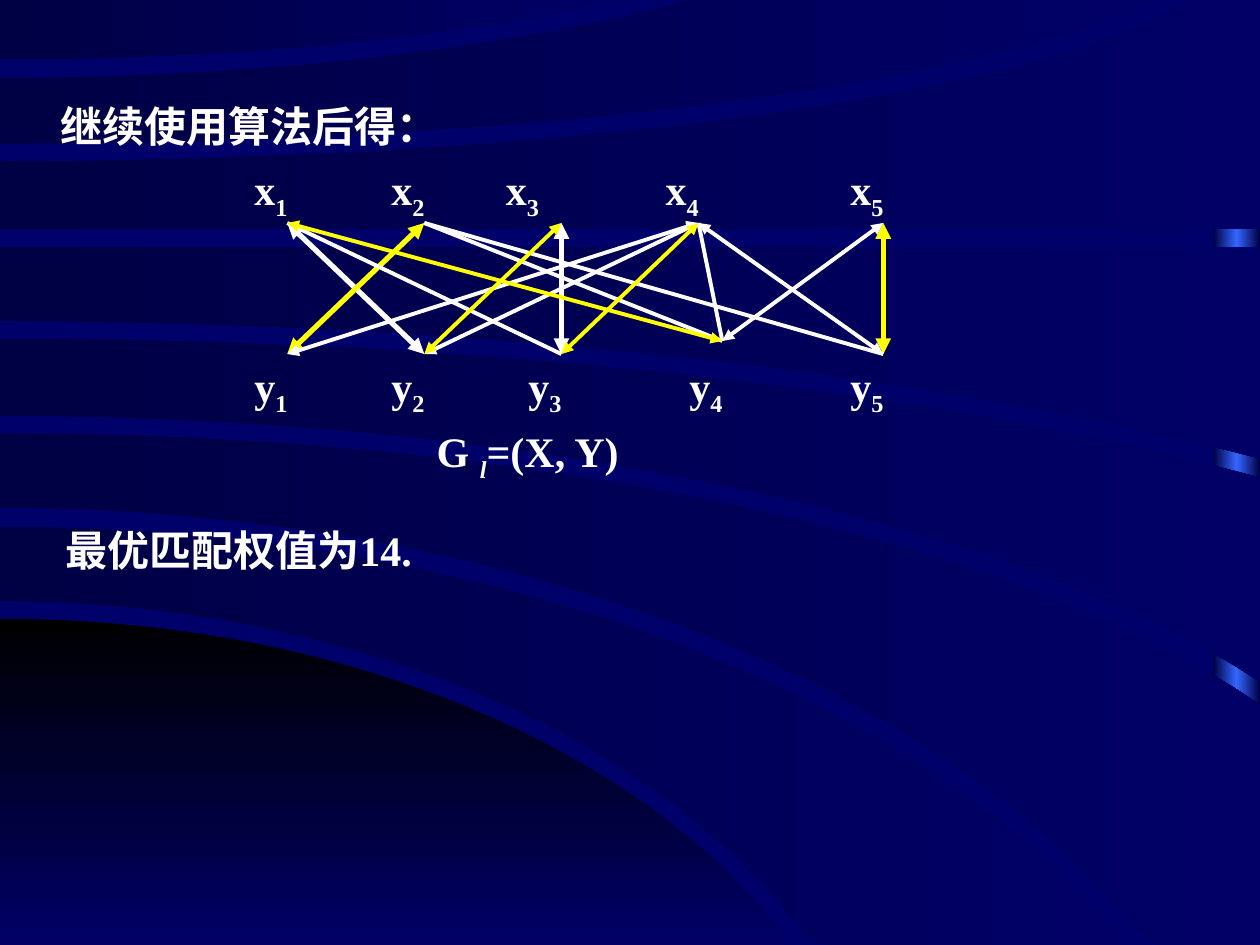
from copy import deepcopy
from math import sqrt

from pptx import Presentation
from pptx.dml.color import RGBColor
from pptx.enum.shapes import MSO_CONNECTOR as Connector, MSO_SHAPE as Shape
from pptx.enum.text import MSO_ANCHOR as Anchor
from pptx.oxml.ns import qn
from pptx.util import Inches, Pt
from lxml.etree import SubElement

WIDTH, HEIGHT = 10, 7.5
WHITE, YELLOW = "FFFFFF", "FFFF00"
NIGHT, NAVY, BLUE, BLACK = "000044", "000066", "3366FF", "000000"

# An arc is (height at the left side, horizontal radius, vertical radius);
# a negative vertical radius bends it upwards, zero makes it flat.
# A band is (upper arc, lower arc, right end).
PLANET = ((4.91, 7, 4.64), (HEIGHT, WIDTH, 0), 6.28)
BANDS = [
    ((4.18, 10, 5.96), (4.77, 7.15, 4.8), 8.93),
    ((3.44, 11.2, 3.92), (4.03, 10, 5.88), WIDTH),
    ((2.69, 14, 3.67), (3.3, 11.3, 3.95), WIDTH),
    ((1.96, WIDTH, 0), (2.55, 14, 3.63), WIDTH),
    ((1.28, 9.7, -1.68), (1.82, WIDTH, 0), WIDTH),
    ((0.62, 8, -2.26), (1.14, 9.7, -1.71), 9.17),
    ((0, WIDTH, 0), (0.47, 7, -1.63), 5.01),
]
STEPS = 50

# Vertex columns and rows, as shares of the graph's box
GRAPH_BOX = (2.28, 1.77, 4.73, 1.04)
X_COLUMNS = [0, 0.23, 0.46, 0.69, 1]
Y_COLUMNS = [0, 0.23, 0.46, 0.73, 1]
SHORT_ROW = 0.9

# Edges by style (colour, width, arrowheads), each as x number and y number
EDGES = {
    (WHITE, 3, True): "33 12",
    (YELLOW, 3, True): "55 21",
    (WHITE, 2.25, False): "13 24 25 44",
    (WHITE, 2.25, True): "54 42 41 45",
    (YELLOW, 2.25, True): "32 43 14",
}


def colour(code):
    return RGBColor.from_string(code)


def paint(shape, codes, angle=0):
    """Fill a shape with an evenly spaced gradient and no outline."""
    shape.shadow.inherit = False
    shape.line.fill.background()
    shape.fill.gradient()
    shape.fill.gradient_angle = angle
    stop_list = shape._element.spPr.find(qn("a:gradFill")).find(qn("a:gsLst"))
    while len(stop_list) < len(codes):
        stop_list.append(deepcopy(stop_list[0]))
    for index, (stop, code) in enumerate(zip(shape.fill.gradient_stops, codes)):
        stop.color.rgb = colour(code)
        stop.position = index / (len(codes) - 1)


def arc_points(arc, end):
    """Points along an elliptic arc, kept inside the slide."""
    start, across, down = arc
    points = []
    for step in range(STEPS + 1):
        x = end * step / STEPS
        y = start + down * (1 - sqrt(max(0, 1 - (x / across) ** 2)))
        points.append((Inches(x), Inches(min(max(y, 0), HEIGHT))))
    return points


def add_band(page, upper, lower, end):
    first, *rest = arc_points(upper, end) + arc_points(lower, end)[::-1]
    builder = page.shapes.build_freeform(*first)
    builder.add_line_segments(rest, close=True)
    return builder.convert_to_shape()


def add_text(page, box, spans, anchor=Anchor.TOP):
    """Write one line; spans whose style has "sub" or "italic" get it."""
    frame = page.shapes.add_textbox(*map(Inches, box)).text_frame
    frame.word_wrap = True
    frame.vertical_anchor = anchor
    para = frame.paragraphs[0]
    para.font.name, para.font.size, para.font.bold = "Times New Roman", Pt(24), True
    para.font.color.rgb = colour(WHITE)
    for text, style in spans:
        span = para.add_run()
        span.text = text
        if "italic" in style:
            span.font.italic = True
        if "sub" in style:
            span._r.get_or_add_rPr().set("baseline", "-25000")


def add_edge(page, start, end, code, width, arrows):
    ends = map(Inches, (*start, *end))
    edge = page.shapes.add_connector(Connector.STRAIGHT, *ends)
    edge.line.color.rgb = colour(code)
    edge.line.width = Pt(width)
    SubElement(edge._element.spPr, qn("a:effectLst"))
    if arrows:
        line = edge.line._get_or_add_ln()
        for tag in ("a:headEnd", "a:tailEnd"):
            SubElement(line, qn(tag)).set("type", "triangle")


def draw_backdrop(page):
    page.background.fill.solid()
    page.background.fill.fore_color.rgb = colour("00006A")
    bar = [Inches(length) for length in (WIDTH - 0.37, 0, 0.37, HEIGHT)]
    paint(page.shapes.add_shape(Shape.RECTANGLE, *bar), [NIGHT, BLUE, NIGHT])
    paint(add_band(page, *PLANET), [BLACK, NAVY], 270)
    for band in BANDS:
        paint(add_band(page, *band), [NIGHT, NAVY])


def draw_graph(page, box):
    left, top, width, height = box
    bottom = top + height
    xs = [(left + width * column, top) for column in X_COLUMNS]
    ys = [(left + width * column, bottom) for column in Y_COLUMNS]
    ends = ys.copy()
    ends[3] = (ys[3][0], top + height * SHORT_ROW)  # y4 ends higher

    # Edges
    for style, pairs in EDGES.items():
        for x, y in pairs.split():
            add_edge(page, xs[int(x) - 1], ends[int(y) - 1], *style)

    # Vertex labels above and below; x3 sits further left
    for letter, vertices, label_top in (("x", xs, top - 0.52), ("y", ys, bottom)):
        for number, (across, _) in enumerate(vertices, 1):
            shift = 0.54 if (letter, number) == ("x", 3) else 0.36
            add_text(page, (across - shift, label_top, 0.95, 0.56),
                     [(letter, ""), (str(number), "sub")])

    # Caption
    add_text(page, (xs[1][0], bottom + height / 2, 2.4, 0.56),
             [("G ", ""), ("l", "sub italic"), ("=(X, Y)", "")])


def draw_statement(page, left, top, text):
    add_text(page, (left, top, 8.12, 0.5), [(text, "")], Anchor.MIDDLE)


def main():
    deck = Presentation()
    deck.slide_width, deck.slide_height = Inches(WIDTH), Inches(HEIGHT)
    page = deck.slides.add_slide(deck.slide_layouts[6])
    draw_backdrop(page)
    draw_statement(page, 0.38, 0.75, "继续使用算法后得：")
    draw_graph(page, GRAPH_BOX)
    draw_statement(page, 0.42, 4.11, "最优匹配权值为14.")
    deck.save("out.pptx")


if __name__ == "__main__":
    main()
